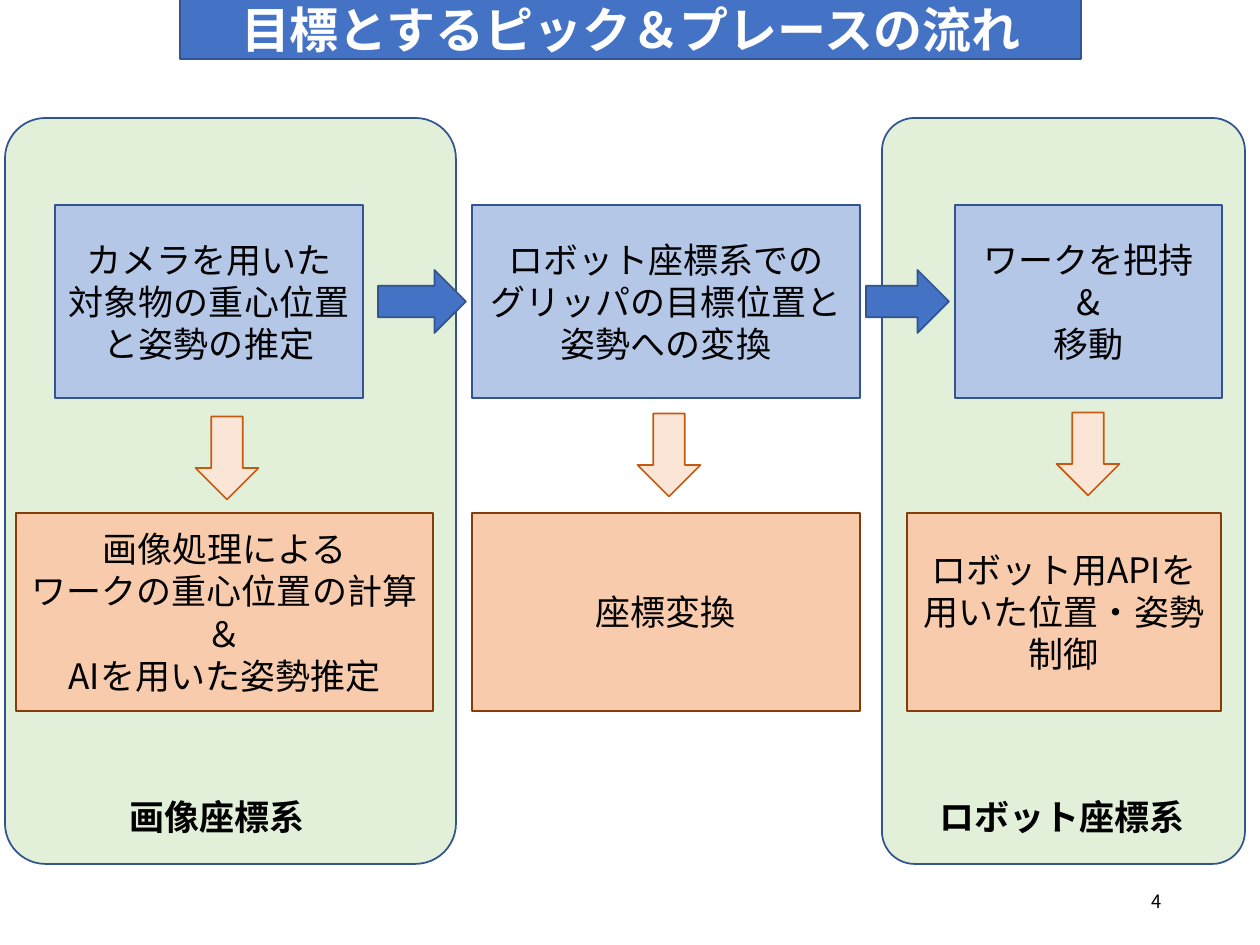
from lxml import etree
from pptx import Presentation
from pptx.dml.color import RGBColor
from pptx.enum.shapes import MSO_SHAPE
from pptx.enum.text import MSO_ANCHOR, PP_ALIGN
from pptx.oxml.ns import qn
from pptx.util import Pt

RECT, ROUNDED, ARROW = MSO_SHAPE.RECTANGLE, MSO_SHAPE.ROUNDED_RECTANGLE, MSO_SHAPE.RIGHT_ARROW
TOP, MIDDLE = MSO_ANCHOR.TOP, MSO_ANCHOR.MIDDLE
LEFT, CENTER, RIGHT = PP_ALIGN.LEFT, PP_ALIGN.CENTER, PP_ALIGN.RIGHT

FONT = "Noto Sans CJK JP"
PX = 914400 / 126
COLORS = {
    "panel": "E2F0D9", "blue": "4472C4", "blue_line": "325491", "step": "B4C7E7",
    "method": "F8CBAD", "method_line": "843C0B", "down": "FBE5D6", "down_line": "C55A11",
    "black": "000000", "white": "FFFFFF",
}

# Content: positions are px
TITLE = "目標とするピック＆プレースの流れ"
PAGE_NUMBER = "4"
# panel left, panel width, label, label left, label width
PANELS = [
    (882, 363, "ロボット座標系", 927, 273),
    (5, 451, "画像座標系", 117, 202),
]
# left, width, paragraphs
STEPS = [
    (55, 308, ["カメラを用いた", "対象物の重心位置と姿勢の推定"]),
    (472, 388, ["ロボット座標系での", "グリッパの目標位置と姿勢への変換"]),
    (955, 267, ["ワークを把持", "&", "移動"]),
]
METHODS = [
    (16, 417, ["画像処理による", "ワークの重心位置の計算", "＆", "AIを用いた姿勢推定"]),
    (472, 388, ["座標変換"]),
    (907, 314, ["ロボット用APIを用いた位置・姿勢制御"]),
]
NEXT_ARROWS = [(378, 88), (866, 83)]  # left, width
DOWN_ARROWS = [(227, 458), (669, 455), (1088, 454)]  # centre x, centre y
ARROW_LENGTH, ARROW_BREADTH = 83, 63


def emu(*lengths):
    return [round(length * PX) for length in lengths]


def write(frame, paragraphs, size=20, color="black", bold=False,
          align=CENTER, anchor=MIDDLE, wrap=True):
    frame.word_wrap = wrap
    frame.vertical_anchor = anchor
    for index, words in enumerate(paragraphs):
        paragraph = frame.add_paragraph() if index else frame.paragraphs[0]
        paragraph.alignment = align
        run = paragraph.add_run()
        run.text = words
        run.font.size = Pt(size)
        run.font.bold = bold
        run.font.color.rgb = RGBColor.from_string(COLORS[color])
        run.font.name = FONT
        # East Asian typeface
        etree.SubElement(run.font._element, qn("a:ea"), typeface=FONT)


def add_block(kind, box, fill, line="blue_line"):
    block = slide.shapes.add_shape(kind, *emu(*box))
    block.shadow.inherit = False
    block.fill.solid()
    block.fill.fore_color.rgb = RGBColor.from_string(COLORS[fill])
    block.line.color.rgb = RGBColor.from_string(COLORS[line])
    block.line.width = Pt(1)
    return block


def add_label(box, words, **style):
    write(slide.shapes.add_textbox(*emu(*box)).text_frame, [words], **style)


prs = Presentation()
prs.slide_width, prs.slide_height = emu(1260, 945)
slide = prs.slides.add_slide(prs.slide_layouts[6])

# Coordinate system panels
for left, width, *_ in PANELS:
    panel = add_block(ROUNDED, (left, 118, width, 746), "panel")
    panel.adjustments[0] = 0.09

# Title bar
title_bar = add_block(RECT, (180, -1, 901, 60), "blue")
write(title_bar.text_frame, [TITLE], size=28, color="white", bold=True)

# Process steps and the methods below them
for left, width, paragraphs in STEPS:
    step = add_block(RECT, (left, 205, width, 193), "step")
    write(step.text_frame, paragraphs)
for left, width, paragraphs in METHODS:
    method = add_block(RECT, (left, 513, width, 198), "method", "method_line")
    write(method.text_frame, paragraphs)

# Arrows to the next step and down to the method
for left, width in NEXT_ARROWS:
    add_block(ARROW, (left, 270, width, ARROW_BREADTH), "blue")
for x, y in DOWN_ARROWS:
    box = (x - ARROW_LENGTH / 2, y - ARROW_BREADTH / 2, ARROW_LENGTH, ARROW_BREADTH)
    add_block(ARROW, box, "down", "down_line").rotation = 90

# Panel labels and page number
for _, _, name, left, width in PANELS:
    add_label((left, 789, width, 55), name, bold=True, align=LEFT, anchor=TOP, wrap=False)
add_label((890, 876, 284, 50), PAGE_NUMBER, size=10.5, align=RIGHT)

prs.save("out.pptx")
